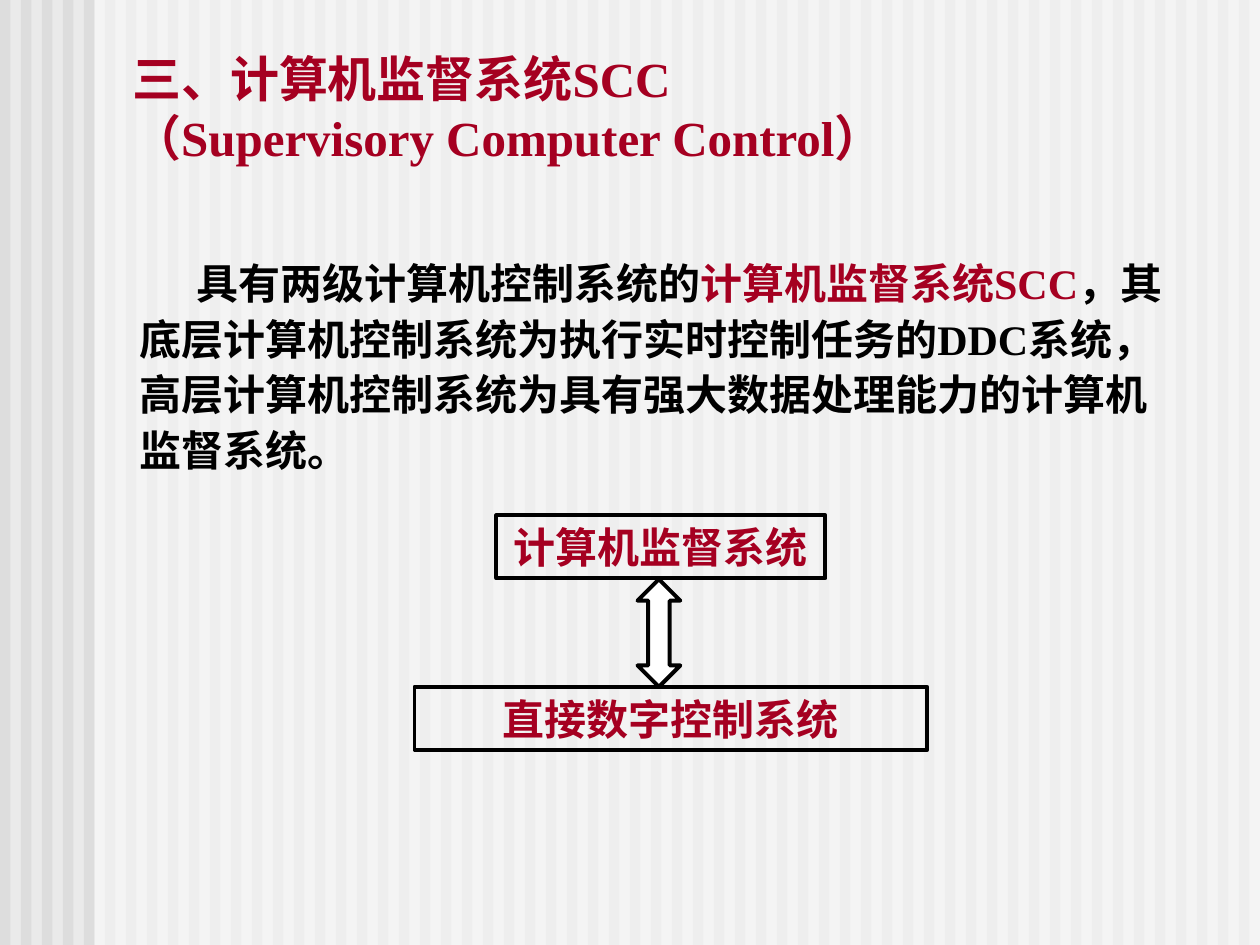
from pptx import Presentation
from pptx.dml.color import RGBColor
from pptx.enum.shapes import MSO_SHAPE
from pptx.enum.text import MSO_ANCHOR, PP_ALIGN
from pptx.oxml.ns import qn
from pptx.util import Pt
from lxml import etree

RECT, ARROW = MSO_SHAPE.RECTANGLE, MSO_SHAPE.UP_DOWN_ARROW
TOP, MIDDLE, BOTTOM = MSO_ANCHOR.TOP, MSO_ANCHOR.MIDDLE, MSO_ANCHOR.BOTTOM
LEFT, CENTER = PP_ALIGN.LEFT, PP_ALIGN.CENTER

COLORS = {
    "background": "EAEAEA",
    "stripe": "DDDDDD",
    "white": "FFFFFF",
    "black": "000000",
    "red": "A50021",
}
WIDTH, HEIGHT = 720, 540
STRIPE_STEP, STRIPE_WIDTH = 12, 6
VEIL_LEFT = 54


class SlideBuilder:
    """Hold the style and the current slide, and add each kind of element."""

    font = "Times New Roman"
    line_width = 2.25

    def __init__(self, slide):
        self.s = slide

    def color(self, name):
        return RGBColor.from_string(COLORS[name])

    def background(self, color):
        fill = self.s.background.fill
        fill.solid()
        fill.fore_color.rgb = self.color(color)

    def shape(self, kind, box, fill=None, line=None, alpha=None):
        sp = self.s.shapes.add_shape(kind, *map(Pt, box))
        sp.shadow.inherit = False
        if fill:
            sp.fill.solid()
            sp.fill.fore_color.rgb = self.color(fill)
        else:
            sp.fill.background()
        if line:
            sp.line.color.rgb = self.color(line)
            sp.line.width = Pt(self.line_width)
        else:
            sp.line.fill.background()
        if alpha:
            clr = sp.fill._xPr.find(qn("a:solidFill"))[0]
            etree.SubElement(clr, qn("a:alpha")).set("val", str(alpha * 1000))
        return sp

    def paragraph(self, sp, size, anchor, align):
        tf = sp.text_frame
        tf.word_wrap = True
        tf.vertical_anchor = anchor
        p = tf.paragraphs[0]
        p.alignment = align
        p.font.name = self.font
        p.font.size = Pt(size)
        p.font.bold = True
        return p

    def title(self, box, text):
        sp = self.s.shapes.add_textbox(*map(Pt, box))
        p = self.paragraph(sp, 28, BOTTOM, LEFT)
        p.text = text
        p.font.color.rgb = self.color("red")

    def body(self, box, indent, runs):
        sp = self.s.shapes.add_textbox(*map(Pt, box))
        p = self.paragraph(sp, 24, TOP, LEFT)
        p.line_spacing = 1.1
        p._p.get_or_add_pPr().set("indent", str(Pt(indent)))
        for text, color in runs:
            r = p.add_run()
            r.text = text
            r.font.color.rgb = self.color(color)

    def box(self, box, text):
        sp = self.shape(RECT, box, line="black")
        p = self.paragraph(sp, 24, MIDDLE, CENTER)
        p.text = text
        p.font.color.rgb = self.color("red")


def main():
    prs = Presentation()
    prs.slide_width, prs.slide_height = Pt(WIDTH), Pt(HEIGHT)
    b = SlideBuilder(prs.slides.add_slide(prs.slide_layouts[6]))

    b.background("background")
    for x in range(0, WIDTH, STRIPE_STEP):
        b.shape(RECT, (x, 0, STRIPE_WIDTH, HEIGHT), fill="stripe")
    b.shape(RECT, (VEIL_LEFT, 0, WIDTH - VEIL_LEFT, HEIGHT), fill="white", alpha=50)

    b.body((72.5, 141, 611.5, 153.5), 32.5, [
        ("具有两级计算机控制系统的", "black"),
        ("计算机监督系统SCC", "red"),
        ("，其底层计算机控制系统为执行实时控制任务的DDC系统，"
         "高层计算机控制系统为具有强大数据处理能力的计算机监督系统。", "black"),
    ])
    b.title((68.5, 24.5, 509, 74),
            "三、计算机监督系统SCC\v（Supervisory Computer Control）")

    b.box((283.7, 294.5, 188, 36), "计算机监督系统")
    b.box((236.9, 392.5, 293, 36), "直接数字控制系统")
    b.shape(ARROW, (364.3, 331, 24.5, 61.5), fill="white", line="black")

    prs.save("out.pptx")


if __name__ == "__main__":
    main()
